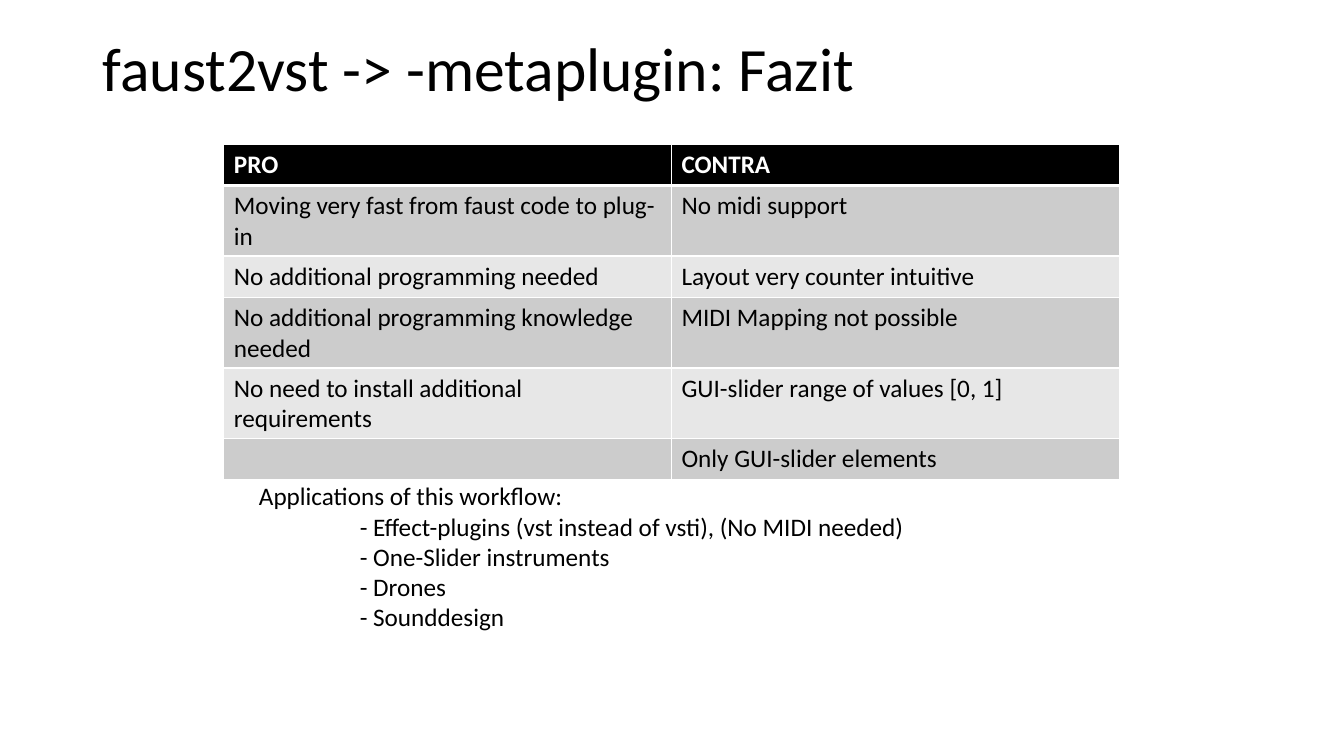
from lxml import etree
from pptx import Presentation
from pptx.dml.color import RGBColor
from pptx.enum import text
from pptx.oxml import ns
from pptx.util import Pt

# Content
TITLE = "faust2vst -> -metaplugin: Fazit"
ROWS = [
    ("PRO", "CONTRA"),
    ("Moving very fast from faust code to plug-in", "No midi support"),
    ("No additional programming needed", "Layout very counter intuitive"),
    ("No additional programming knowledge needed", "MIDI Mapping not possible"),
    ("No need to install additional requirements", "GUI-slider range of values [0, 1]"),
    ("", "Only GUI-slider elements"),
]
USES = [
    ("Applications of this workflow:", 0),
    ("- Effect-plugins (vst instead of vsti), (No MIDI needed)", 100),
    ("- One-Slider instruments", 100),
    ("- Drones", 100),
    ("- Sounddesign", 100),
]

# Style: 100 px to the inch
PX = 9144
FONT, BLACK, WHITE = "Calibri", "000000", "FFFFFF"
BANDS = ("CCCCCC", "E7E7E7")
COL, ROW = 444, 41


def px(n):
    return n * PX


def color(code):
    return RGBColor.from_string(code)


def write(para, words, size=18, ink=BLACK, bold=False, indent=0, space=1.0):
    para.line_spacing = space
    if indent:
        para._p.get_or_add_pPr().set("marL", str(px(indent)))
    if words:
        run = para.add_run()
        run.text = words
        font = run.font
        font.name, font.size, font.bold = FONT, Pt(size), bold
        font.color.rgb = color(ink)


def box(left, top, width, height, anchor):
    shape = slide.shapes.add_textbox(px(left), px(top), px(width), px(height))
    frame = shape.text_frame
    frame.word_wrap = True
    frame.vertical_anchor = anchor
    return frame


def edge(cell, side, width):
    props = cell._tc.get_or_add_tcPr()
    line = etree.SubElement(props, ns.qn("a:ln" + side), w=str(Pt(width)))
    fill = etree.SubElement(line, ns.qn("a:solidFill"))
    etree.SubElement(fill, ns.qn("a:srgbClr"), val=WHITE)


deck = Presentation()
deck.slide_width, deck.slide_height = px(1333), px(750)
slide = deck.slides.add_slide(deck.slide_layouts[6])

# Title
head = box(92, -2, 1150, 145, text.MSO_ANCHOR.MIDDLE)
write(head.paragraphs[0], TITLE, size=44, space=0.9)

# Table of pros and cons
grid = slide.shapes.add_table(
    len(ROWS), 2, px(222), px(143), px(2 * COL), px(ROW * len(ROWS))).table
for col in grid.columns:
    col.width = px(COL)
for r, row in enumerate(ROWS):
    grid.rows[r].height = px(ROW)
    top = r == 0
    for c, words in enumerate(row):
        cell = grid.cell(r, c)
        write(cell.text_frame.paragraphs[0], words,
              ink=WHITE if top else BLACK, bold=top)
        for side in "LRTB":
            thick = (r, side) in ((0, "B"), (1, "T"))
            edge(cell, side, 3 if thick else 1)
        cell.fill.solid()
        cell.fill.fore_color.rgb = color(BLACK if top else BANDS[(r - 1) % 2])

# Applications
notes = box(247, 472, 847, 162, text.MSO_ANCHOR.TOP)
for i, (words, indent) in enumerate(USES):
    para = notes.add_paragraph() if i else notes.paragraphs[0]
    write(para, words, indent=indent)

deck.save("out.pptx")
